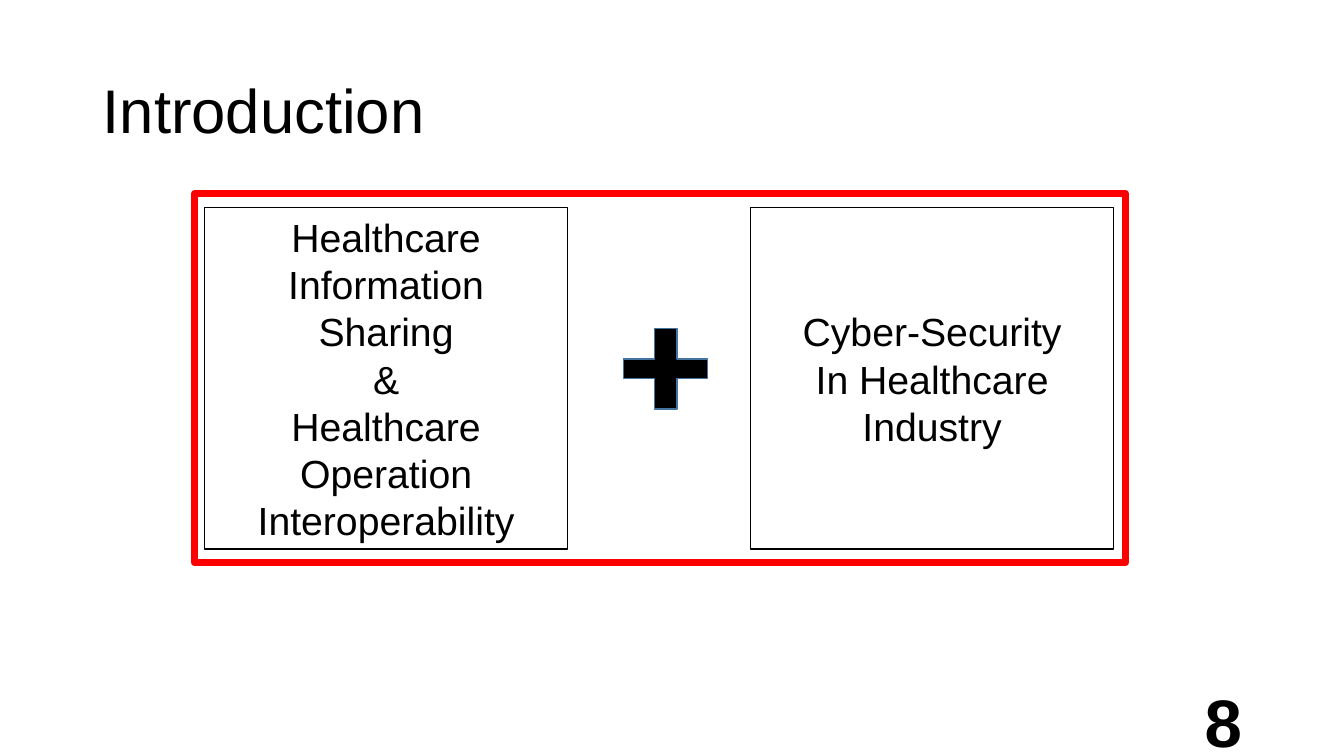
from pptx import Presentation
from pptx.dml.color import RGBColor
from pptx.enum import shapes as s, text as t
from pptx.util import Cm, Pt

BLACK = RGBColor(0x00, 0x00, 0x00)
RED = RGBColor(0xFF, 0x00, 0x00)
BLUE = RGBColor(0x43, 0x73, 0x9E)
FONT = "Arial"


def write(shape, paragraphs, size, alignment, bold=False, line_spacing=1.0):
    frame = shape.text_frame
    frame.word_wrap = True
    frame.vertical_anchor = t.MSO_ANCHOR.MIDDLE
    for index, content in enumerate(paragraphs):
        paragraph = frame.paragraphs[0] if index == 0 else frame.add_paragraph()
        paragraph.text = content
        paragraph.alignment = alignment
        paragraph.line_spacing = line_spacing
        paragraph.font.name = FONT
        paragraph.font.size = Pt(size)
        paragraph.font.bold = bold
        paragraph.font.color.rgb = BLACK


def add_label(slide, box, content, size, alignment, **style):
    label = slide.shapes.add_textbox(*map(Cm, box))
    write(label, [content], size, alignment, **style)


def add_outline(slide, kind, box, color, width, fill=None):
    """Add a preset shape with a line, hollow unless a fill is given."""
    shape = slide.shapes.add_shape(kind, *map(Cm, box))
    shape.shadow.inherit = False
    shape.line.color.rgb = color
    shape.line.width = Pt(width)
    if fill is None:
        shape.fill.background()
    else:
        shape.fill.solid()
        shape.fill.fore_color.rgb = fill
    return shape


def add_topic(slide, left, paragraphs):
    topic = add_outline(slide, s.MSO_SHAPE.RECTANGLE, (left, 5.23, 9.14, 8.61), BLACK, 1)
    write(topic, paragraphs, 28, t.PP_ALIGN.CENTER)


def main():
    presentation = Presentation()
    presentation.slide_width = Cm(33.87)
    presentation.slide_height = Cm(19.05)
    slide = presentation.slides.add_slide(presentation.slide_layouts[6])

    add_label(slide, (2.34, 1.02, 29.21, 3.68), "Introduction", 44,
              t.PP_ALIGN.LEFT, line_spacing=0.9)
    add_label(slide, (23.93, 17.65, 7.62, 1.02), "8", 48, t.PP_ALIGN.RIGHT, bold=True)

    add_topic(slide, 5.16, ["Healthcare Information\nSharing", "&",
                            "Healthcare Operation Interoperability"])
    add_topic(slide, 18.92, ["Cyber-Security", "In Healthcare Industry"])

    plus = add_outline(slide, s.MSO_SHAPE.CROSS, (15.72, 8.28, 2.11, 2.03), BLUE, 1, BLACK)
    plus.adjustments[0] = 0.38
    add_outline(slide, s.MSO_SHAPE.RECTANGLE, (4.9, 4.88, 23.47, 9.3), RED, 4.75)

    presentation.save("out.pptx")


if __name__ == "__main__":
    main()
